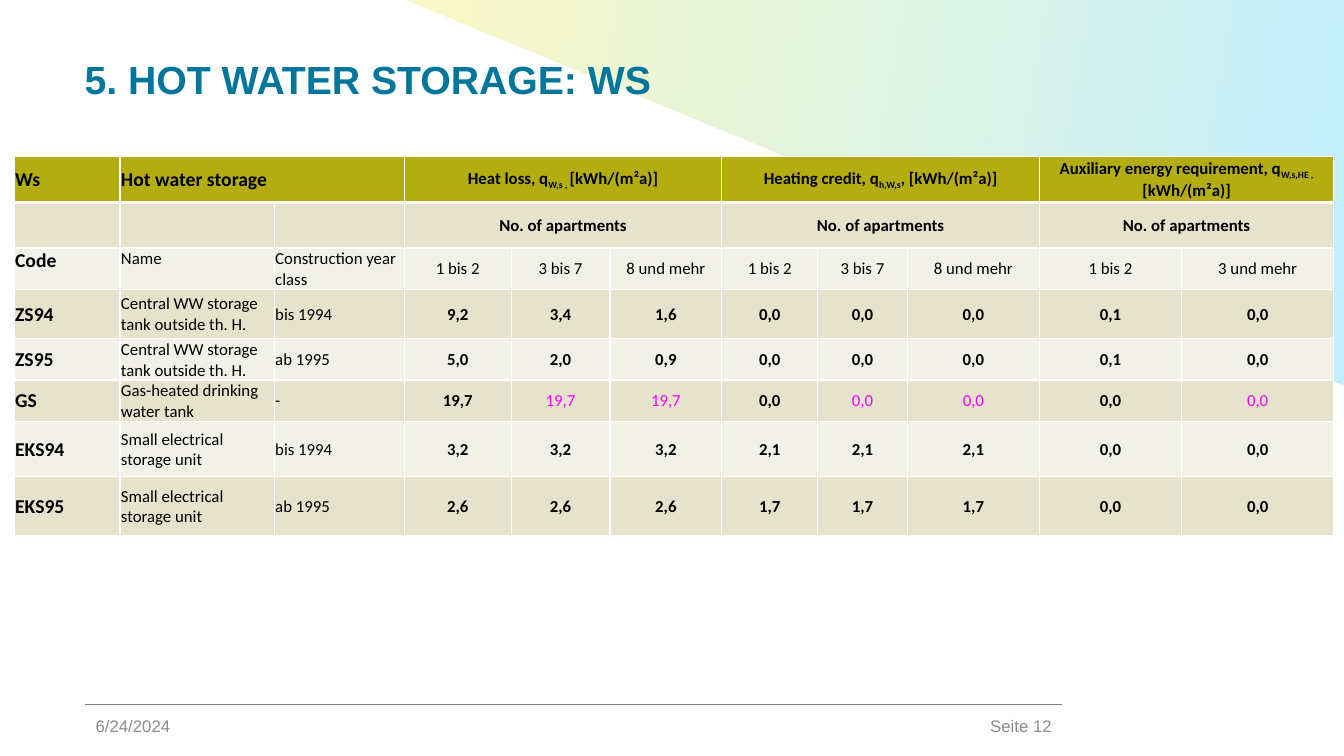
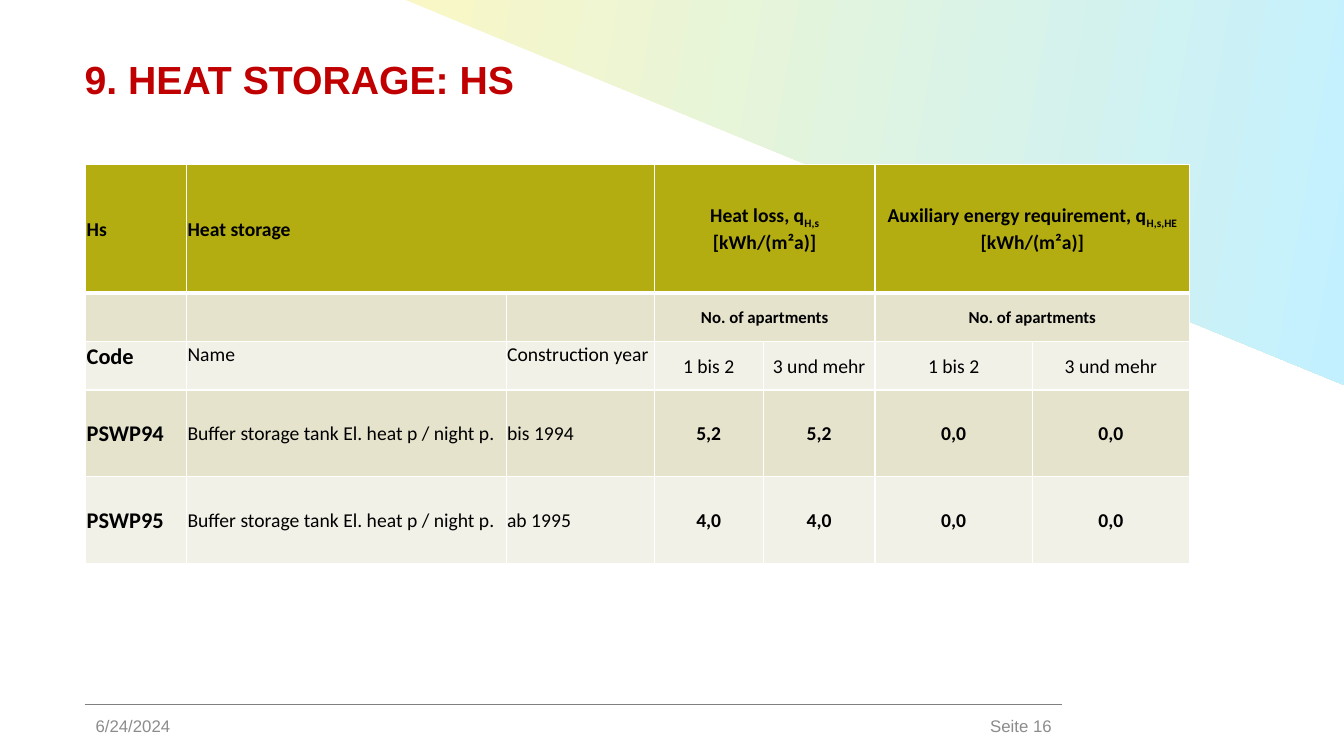
from lxml import etree
from pptx import Presentation
from pptx.dml.color import RGBColor
from pptx.enum.shapes import MSO_CONNECTOR, MSO_SHAPE
from pptx.enum.text import MSO_ANCHOR, MSO_AUTO_SIZE, PP_ALIGN
from pptx.oxml.ns import qn
from pptx.util import Inches, Pt

TRIANGLE = MSO_SHAPE.RIGHT_TRIANGLE
STRAIGHT = MSO_CONNECTOR.STRAIGHT
LEFT, CENTER, RIGHT = PP_ALIGN.LEFT, PP_ALIGN.CENTER, PP_ALIGN.RIGHT
TOP, MIDDLE = MSO_ANCHOR.TOP, MSO_ANCHOR.MIDDLE

COLORS = {
    "blue": "00769C", "red": "C00000", "gray": "8C8C8C", "rule": "808080",
    "yellow tint": "F9F7C6", "blue tint": "C3F0FF",
    "header": "B3AD12", "dark band": "E5E3CC", "light band": "F2F1E7",
    "white": "FFFFFF", "black": "000000", "magenta": "FF00FF",
}
TITLE_ONLY = 5
WIDTH, HEIGHT = 13.33, 7.5
MARGIN, RIGHT_EDGE = 0.84, 10.53
FOOTER_TOP, FOOTER_SIZE = 7, (1.8, 0.4)
HEADER_ROWS, LABEL_COLUMNS = 3, 3
HEADER_SIZE, APARTMENTS_SIZE = 14, 12
TITLE_FORMAT = {"name": "Arial", "size": Pt(28), "bold": True}
FOOTER_FORMAT = {"name": "Arial", "size": Pt(12)}
CELL_MARGINS = {"margin_left": Inches(0.01), "margin_right": Inches(0.01),
                "margin_top": Inches(0.01), "margin_bottom": 0}
FRAME_MARGINS = dict.fromkeys(CELL_MARGINS, 0)

# In group labels, text between bars is subscript and each line is a paragraph.
HOT_WATER = {
    "title": "5. HOT WATER STORAGE: WS", "title color": "blue", "page": "Seite 12",
    "place": (0.14, 1.55), "code size": 14, "body size": 12,
    "columns": [1.05, 1.53, 1.29, 1.06, 0.98, 1.11, 0.95, 0.89, 1.31, 1.41, 1.51],
    "rows": [0.46, 0.45, 0.41, 0.49, 0.41, 0.41, 0.55, 0.58],
    "headings": ["Ws", "Hot water storage"],
    "labels": ["Code", "Name", "Construction year class"],
    "groups": [
        ("Heat loss, q|W,s , |[kWh/(m²a)]", ["1 bis 2", "3 bis 7", "8 und mehr"]),
        ("Heating credit, q|h,W,s|, [kWh/(m²a)]", ["1 bis 2", "3 bis 7", "8 und mehr"]),
        ("Auxiliary energy requirement, q|W,s,HE , |[kWh/(m²a)]", ["1 bis 2", "3 und mehr"]),
    ],
    "data": [
        ["ZS94", "Central WW storage tank outside th. H.", "bis 1994",
         "9,2", "3,4", "1,6", "0,0", "0,0", "0,0", "0,1", "0,0"],
        ["ZS95", "Central WW storage tank outside th. H.", "ab 1995",
         "5,0", "2,0", "0,9", "0,0", "0,0", "0,0", "0,1", "0,0"],
        ["GS", "Gas-heated drinking water tank", "-",
         "19,7", "19,7", "19,7", "0,0", "0,0", "0,0", "0,0", "0,0"],
        ["EKS94", "Small electrical storage unit", "bis 1994",
         "3,2", "3,2", "3,2", "2,1", "2,1", "2,1", "0,0", "0,0"],
        ["EKS95", "Small electrical storage unit", "ab 1995",
         "2,6", "2,6", "2,6", "1,7", "1,7", "1,7", "0,0", "0,0"],
    ],
    "marked": {("GS", column) for column in (4, 5, 7, 8, 10)},
}
HEAT = {
    "title": "9. HEAT STORAGE: HS", "title color": "red", "page": "Seite 16",
    "place": (0.85, 1.63), "code size": 16, "body size": 14,
    "columns": [1, 3.17, 1.47, 1.08, 1.11, 1.56, 1.56],
    "rows": [1.28, 0.48, 0.48, 0.86, 0.86],
    "headings": ["Hs", "Heat storage"],
    "labels": ["Code", "Name", "Construction year"],
    "groups": [
        ("Heat loss, q|H,s\n[kWh/(m²a)]", ["1 bis 2", "3 und mehr"]),
        ("Auxiliary energy requirement, q|H,s,HE\n[kWh/(m²a)]", ["1 bis 2", "3 und mehr"]),
    ],
    "data": [
        ["PSWP94", "Buffer storage tank El. heat p / night p.", "bis 1994",
         "5,2", "5,2", "0,0", "0,0"],
        ["PSWP95", "Buffer storage tank El. heat p / night p.", "ab 1995",
         "4,0", "4,0", "0,0", "0,0"],
    ],
    "marked": set(),
}


def rgb(name):
    return RGBColor.from_string(COLORS[name])


def apply(target, formats):
    for name, value in formats.items():
        setattr(target, name, value)


def add_run(paragraph, text, color, formats):
    run = paragraph.add_run()
    run.text = text
    apply(run.font, formats)
    run.font.color.rgb = rgb(color)
    return run


# Shared decoration, drawn once and moved to the layout
def decorate_layout(layout, slide):
    triangle = slide.shapes.add_shape(
        TRIANGLE, Inches(4), Inches(-0.01), Inches(WIDTH - 4), Inches(3.83))
    triangle.shadow.inherit = False
    triangle.line.fill.background()
    triangle.fill.gradient()
    triangle.fill.gradient_angle = 170
    for stop, color in zip(triangle.fill.gradient_stops, ("yellow tint", "blue tint")):
        stop.color.rgb = rgb(color)
    transform = triangle.element.spPr.find(qn("a:xfrm"))
    transform.set("flipH", "1")
    transform.set("flipV", "1")

    rule = slide.shapes.add_connector(
        STRAIGHT, Inches(MARGIN), Inches(6.99), Inches(RIGHT_EDGE), Inches(6.99))
    rule.line.color.rgb = rgb("rule")
    rule.line.width = Pt(0.5)
    etree.SubElement(rule.element.spPr, qn("a:effectLst"))

    for position, shape in enumerate((triangle, rule), start=2):
        layout.shapes.element.insert(position, shape.element)


def prepare_layout(layout):
    for placeholder in list(layout.placeholders)[1:]:
        placeholder.element.getparent().remove(placeholder.element)
    apply(layout.placeholders[0], {
        "left": Inches(MARGIN), "top": Inches(0.6),
        "width": Inches(RIGHT_EDGE - MARGIN), "height": Inches(0.39)})


def set_title(slide, text, color):
    frame = slide.shapes.title.text_frame
    apply(frame, {**FRAME_MARGINS, "vertical_anchor": TOP,
                  "auto_size": MSO_AUTO_SIZE.NONE, "word_wrap": True})
    paragraph = frame.paragraphs[0]
    apply(paragraph, {"alignment": LEFT, "line_spacing": 0.9})
    add_run(paragraph, text, color, TITLE_FORMAT)


def add_footer(slide, text, left, alignment):
    box = slide.shapes.add_textbox(
        Inches(left), Inches(FOOTER_TOP), *map(Inches, FOOTER_SIZE))
    apply(box.text_frame, {"word_wrap": True, "vertical_anchor": MIDDLE})
    paragraph = box.text_frame.paragraphs[0]
    apply(paragraph, {"alignment": alignment, "space_after": Pt(6)})
    add_run(paragraph, text, "gray", FOOTER_FORMAT)


# Table cells
def set_borders(cell, widths):
    properties = cell._tc.get_or_add_tcPr()
    for side, width in widths.items():
        line = etree.SubElement(properties, qn(f"a:ln{side}"), w=str(Pt(width)))
        fill = etree.SubElement(line, qn("a:solidFill"))
        etree.SubElement(fill, qn("a:srgbClr"), val=COLORS["white"])


def style_cells(table):
    for row_index, row in enumerate(table.rows):
        band = "header" if row_index == 0 else ("light band", "dark band")[row_index % 2]
        widths = {"L": 1, "R": 1, "T": 3 if row_index == 1 else 1,
                  "B": 3 if row_index == 0 else 1}
        for cell in row.cells:
            set_borders(cell, widths)
            cell.fill.solid()
            cell.fill.fore_color.rgb = rgb(band)


def write_cell(cell, text, size, bold=False, alignment=LEFT, anchor=MIDDLE, color="black"):
    apply(cell, {**CELL_MARGINS, "vertical_anchor": anchor})
    formats = {"name": "Calibri", "size": Pt(size), "bold": bold}
    for index, line in enumerate(text.split("\n")):
        frame = cell.text_frame
        paragraph = frame.add_paragraph() if index else frame.paragraphs[0]
        paragraph.alignment = alignment
        for part_index, part in enumerate(line.split("|")):
            run = add_run(paragraph, part, color, formats)
            if part_index % 2:
                run._r.get_or_add_rPr().set("baseline", "-25000")


def write_headers(table, content):
    body_size = content["body size"]
    table.cell(0, 1).merge(table.cell(0, 2))
    for column, heading in enumerate(content["headings"]):
        write_cell(table.cell(0, column), heading, HEADER_SIZE, bold=True)
    for column, label in enumerate(content["labels"]):
        size = body_size if column else content["code size"]
        write_cell(table.cell(2, column), label, size, bold=column == 0, anchor=TOP)

    first = LABEL_COLUMNS
    for label, classes in content["groups"]:
        last = first + len(classes) - 1
        for row, text, size in ((0, label, body_size),
                                (1, "No. of apartments", APARTMENTS_SIZE)):
            table.cell(row, first).merge(table.cell(row, last))
            write_cell(table.cell(row, first), text, size, True, CENTER)
        for column, text in enumerate(classes, start=first):
            write_cell(table.cell(2, column), text, body_size, alignment=CENTER)
        first = last + 1


def write_data(table, content):
    for row, values in enumerate(content["data"], start=HEADER_ROWS):
        for column, text in enumerate(values):
            is_value = column >= LABEL_COLUMNS
            marked = (values[0], column) in content["marked"]
            write_cell(table.cell(row, column), text,
                       content["body size"] if column else content["code size"],
                       bold=(column == 0 or is_value) and not marked,
                       alignment=CENTER if is_value else LEFT,
                       color="magenta" if marked else "black")


def add_storage_table(slide, content):
    columns, rows = content["columns"], content["rows"]
    left, top = content["place"]
    table = slide.shapes.add_table(
        len(rows), len(columns), Inches(left), Inches(top),
        Inches(sum(columns)), Inches(sum(rows))).table
    apply(table, {"first_row": False, "horz_banding": False})
    for column, width in zip(table.columns, columns):
        column.width = Inches(width)
    for row, height in zip(table.rows, rows):
        row.height = Inches(height)
    style_cells(table)
    write_headers(table, content)
    write_data(table, content)


def main():
    presentation = Presentation()
    presentation.slide_width = Inches(WIDTH)
    presentation.slide_height = Inches(HEIGHT)
    layout = presentation.slide_layouts[TITLE_ONLY]
    prepare_layout(layout)

    for index, content in enumerate((HOT_WATER, HEAT)):
        slide = presentation.slides.add_slide(layout)
        if index == 0:
            decorate_layout(layout, slide)
        add_footer(slide, content["page"], RIGHT_EDGE - FOOTER_SIZE[0], RIGHT)
        add_footer(slide, "6/24/2024", MARGIN + 0.01, LEFT)
        set_title(slide, content["title"], content["title color"])
        add_storage_table(slide, content)
    presentation.save("out.pptx")


if __name__ == "__main__":
    main()
